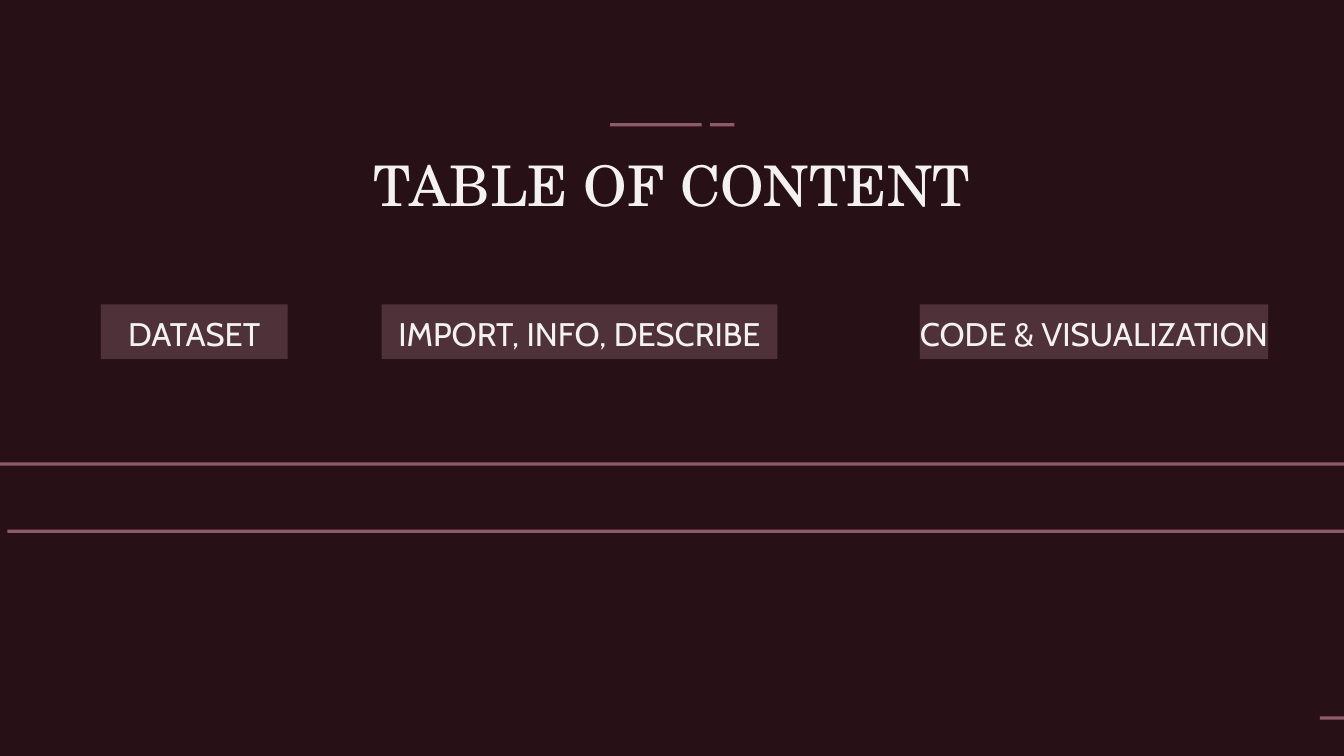
"""Build a table of content slide with three labelled bars and thin rules."""
from dataclasses import dataclass
from typing import Any

from pptx import Presentation
from pptx.dml.color import RGBColor
from pptx.enum.shapes import MSO_SHAPE
from pptx.enum.text import MSO_ANCHOR, PP_ALIGN
from pptx.util import Pt

RECT = MSO_SHAPE.RECTANGLE
TOP = MSO_ANCHOR.TOP
CENTER = PP_ALIGN.CENTER
WIDTH, HEIGHT = 1440, 810


@dataclass(frozen=True)
class Theme:
    back: str = "271117"
    rule: str = "8F5B69"
    bar: str = "4F3139"
    ink: str = "F4F2F1"
    serif: str = "TeX Gyre Schola"
    sans: str = "Cabin"
    title: float = 60
    label: float = 35


@dataclass(frozen=True)
class Box:
    left: float
    top: float
    width: float
    height: float


@dataclass(frozen=True)
class Label:
    text: str
    left: float
    width: float


THEME = Theme()
RULE = 3.6
BAR_TOP, BAR_HIGH = 326.2, 58.3
TITLE = Box(396, 158.4, 648, 73.4)
RULES = [
    Box(1414.2, 767.5, 25.8, RULE),
    Box(653.8, 131.8, 97.9, RULE),
    Box(761, 131.8, 25.8, RULE),
    Box(7.9, 567.4, WIDTH - 7.9, RULE),
    Box(0, 495.4, WIDTH, RULE),
]
LABELS = [
    Label("DATASET", 108, 200.2),
    Label("IMPORT, INFO, DESCRIBE", 409, 424),
    Label("CODE & VISUALIZATION", 985.7, 373),
]


def write(shape: Any, text: str, *, font: str, size: float, line: float,
          inset: float = 0, wrap: bool = True) -> None:
    frame = shape.text_frame
    frame.margin_left = frame.margin_right = frame.margin_bottom = 0
    frame.margin_top = Pt(inset)
    frame.vertical_anchor = TOP
    frame.word_wrap = wrap
    frame.text = text
    para = frame.paragraphs[0]
    para.alignment = CENTER
    para.line_spacing = Pt(line)
    para.space_before = Pt(0)
    para.font.name = font
    para.font.size = Pt(size)
    para.font.color.rgb = RGBColor.from_string(THEME.ink)


def place(shape: Any, box: Box) -> None:
    shape.left, shape.top = Pt(box.left), Pt(box.top)
    shape.width, shape.height = Pt(box.width), Pt(box.height)


def block(slide: Any, box: Box, fill: str) -> Any:
    shape = slide.shapes.add_shape(RECT, 0, 0, 0, 0)
    place(shape, box)
    shape.shadow.inherit = False
    shape.fill.solid()
    shape.fill.fore_color.rgb = RGBColor.from_string(fill)
    shape.line.fill.background()
    return shape


def main() -> None:
    deck = Presentation()
    deck.slide_width, deck.slide_height = Pt(WIDTH), Pt(HEIGHT)
    slide = deck.slides.add_slide(deck.slide_layouts.get_by_name("Title Only"))
    slide.background.fill.solid()
    slide.background.fill.fore_color.rgb = RGBColor.from_string(THEME.back)

    title = slide.shapes.title
    place(title, TITLE)
    write(title, "TABLE OF CONTENT", font=THEME.serif, size=THEME.title, line=74.4)

    for label in LABELS:
        bar = block(slide, Box(label.left, BAR_TOP, label.width, BAR_HIGH), THEME.bar)
        write(bar, label.text, font=THEME.sans, size=THEME.label, line=49,
              inset=2.9, wrap=False)
    for rule in RULES:
        block(slide, rule, THEME.rule)
    deck.save("out.pptx")


if __name__ == "__main__":
    main()
